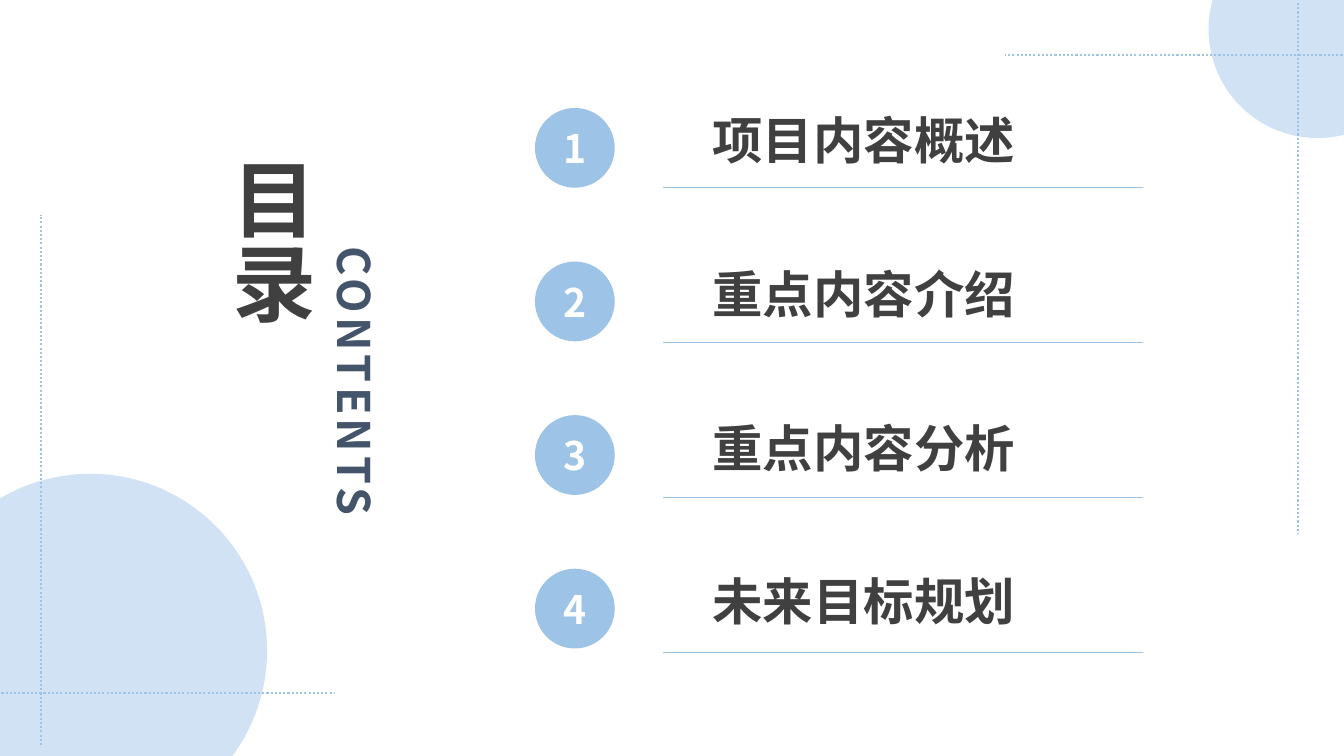
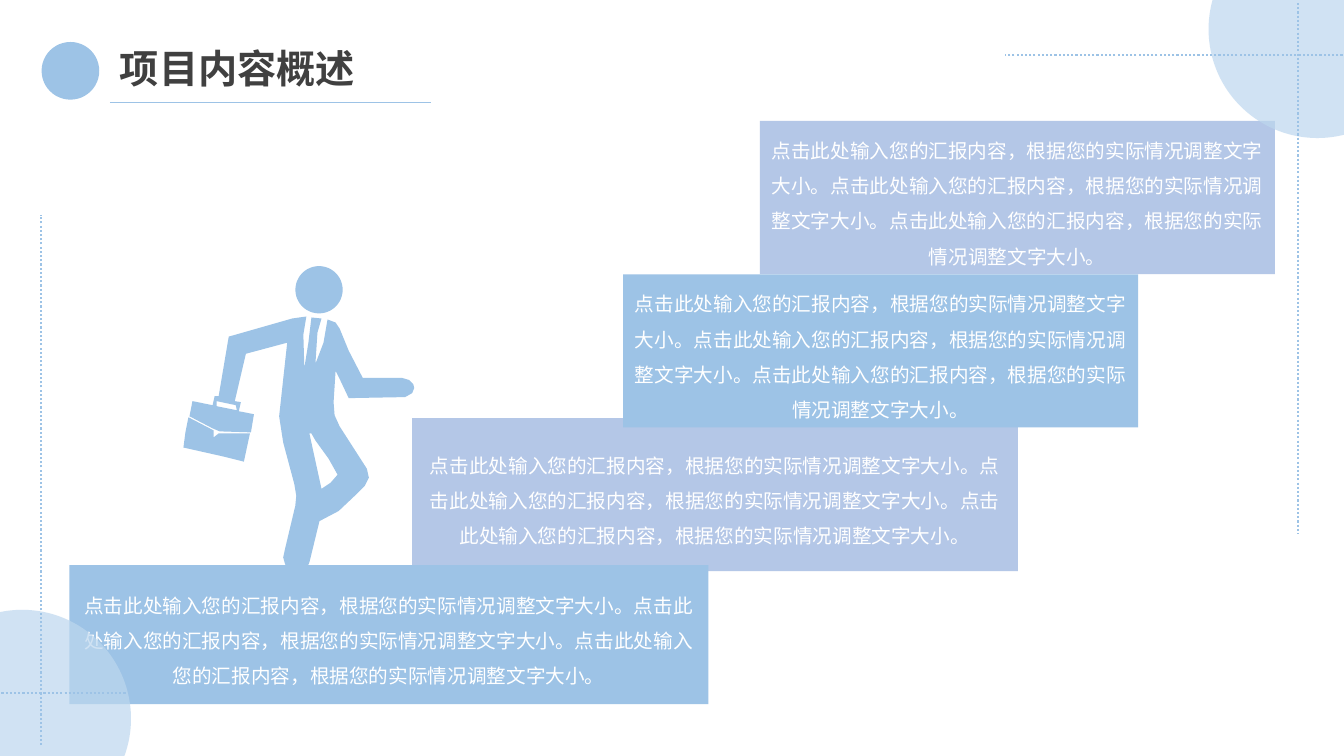
"""Build a contents slide and a project overview slide with a staircase of text."""
from lxml.etree import SubElement
from pptx import Presentation
from pptx.dml.color import RGBColor
from pptx.enum.dml import MSO_LINE_DASH_STYLE as Dash
from pptx.enum.shapes import MSO_CONNECTOR as Connector, MSO_SHAPE as Shape
from pptx.enum.text import MSO_ANCHOR as Anchor, MSO_AUTO_SIZE as AutoSize, PP_ALIGN as Align
from pptx.oxml.ns import qn
from pptx.util import Pt

FONT = "Noto Sans CJK SC"
COLORS = {
    "blue": "9DC3E6",
    "pale": "BDD7EE",
    "lavender": "B4C7E7",
    "ink": "404040",
    "slate": "44546A",
    "white": "FFFFFF",
}
TOPICS = ["项目内容概述", "重点内容介绍", "重点内容分析", "未来目标规划"]
STEP_TEXT = "点击此处输入您的汇报内容，根据您的实际情况调整文字大小。" * 3

BADGE_LEFT, BADGE_TOP, BADGE_SIZE, BADGE_PITCH = 382.1, 77.1, 57, 109.7
UNDERLINE_LEFT, UNDERLINE_RIGHT, UNDERLINE_TOP, UNDERLINE_PITCH = 473.8, 816.5, 133.9, 110.6
TOPIC_LINE_HEIGHT = 43
THIN, DOTTED = 0.5, 1.5

CORNER_SIZE, CORNER_LEFT, CORNER_BOTTOM = 155.5, -61.9, 591.1
CROSS_LINES = [(962, 39.6, 717.8, 39.6), (927.4, 2.2, 927.4, 380.9)]
TURN_X, TURN_Y = 957, 534.4

FIGURE_UNIT = 0.72
BODY = [
    (290, 316), (304, 314), (301, 332), (302, 365), (306, 340), (309, 315), (319, 316),
    (315, 330), (313, 361), (321, 340), (325, 317), (333, 320), (337, 326), (346, 348),
    (360, 375), (399, 375), (406, 377), (410, 381), (411, 385), (409, 390), (402, 394),
    (346, 395), (338, 378), (333, 368), (331, 399), (332, 412), (337, 423), (364, 465),
    (366, 474), (362, 482), (353, 491), (336, 507), (317, 517), (307, 558), (304, 565),
    (301, 567), (288, 564), (283, 560), (281, 553), (283, 544), (293, 502), (294, 492),
    (292, 480), (281, 439), (277, 413), (285, 340), (244, 351), (233, 398), (239, 399),
    (237, 408), (252, 411), (249, 429), (218, 428), (211, 425), (188, 413), (191, 398),
    (211, 402), (213, 393), (217, 393), (227, 334),
]
HANDLE_GAP = [(215, 403), (235, 407), (234, 402), (215, 398)]
LEG_GAP = [(307, 430), (319, 485), (328, 479), (335, 471), (326, 455), (313, 437), (309, 430)]
BRIEFCASE = [
    (187, 414), (212, 427), (212, 434), (217, 430), (248, 430), (242, 458), (222, 453),
    (182, 444), (184, 429),
]


def paint(shape, color):
    """Give a shape a flat fill without line or shadow."""
    shape.fill.solid()
    shape.fill.fore_color.rgb = RGBColor.from_string(COLORS[color])
    shape.line.fill.background()
    shape.shadow.inherit = False
    return shape


def write(shape, text, size, color, bold=True, align=Align.CENTER, anchor=Anchor.MIDDLE):
    """Fill a shape with text in one style and return its paragraphs."""
    frame = shape.text_frame
    frame.text = text
    frame.word_wrap, frame.auto_size, frame.vertical_anchor = True, AutoSize.NONE, anchor
    for paragraph in frame.paragraphs:
        paragraph.alignment = align
        font = paragraph.font
        font.size, font.bold, font.name = Pt(size), bold, FONT
        font.color.rgb = RGBColor.from_string(COLORS[color])
        defaults = paragraph._p.pPr.find(qn("a:defRPr"))
        SubElement(defaults, qn("a:ea")).set("typeface", FONT)
    return frame.paragraphs


prs = Presentation()
prs.slide_width, prs.slide_height = Pt(960), Pt(540)
contents = prs.slides.add_slide(prs.slide_layouts[1])
overview = prs.slides.add_slide(prs.slide_layouts[5])

contents_title, topic_list = contents.placeholders
overview_title = overview.shapes.title
headings = [
    (contents_title, "目录", 60, 146.9, 108.7, 82.1, 167),
    (topic_list, "\n".join(TOPICS), 36, 501.8, 74.2, 286.6, 382),
    (overview_title, TOPICS[0], 28, 78.5, 28.1, 229, 41),
]
for heading, text, size, left, top, width, height in headings:
    heading.left, heading.top = Pt(left), Pt(top)
    heading.width, heading.height = Pt(width), Pt(height)
    write(heading, text, size, "ink", align=Align.LEFT, anchor=Anchor.TOP)

contents_title.text_frame.paragraphs[0].line_spacing = 0.9
contents_title.text_frame.paragraphs[0].space_before = Pt(10)

subtitle = contents.shapes.add_textbox(Pt(225.4), Pt(169), Pt(56.9), Pt(220.3))
subtitle_line = write(subtitle, "CONTENTS", 32, "slate")[0]
subtitle_line.runs[0]._r.get_or_add_rPr().set("spc", "300")
subtitle.text_frame.word_wrap = False

for vertical in (contents_title, subtitle):
    vertical.text_frame._txBody.bodyPr.set("vert", "eaVert")

rules = [(overview, THIN, 78.5, 73.4, 307.6, 73.4)]

for index, topic in enumerate(topic_list.text_frame.paragraphs):
    topic.space_before = Pt(BADGE_PITCH - TOPIC_LINE_HEIGHT if index else 0)
    layout = topic._p.pPr
    layout.set("marL", "0")
    layout.set("indent", "0")
    layout.insert_element_before(layout.makeelement(qn("a:buNone")), "a:defRPr")

    badge = contents.shapes.add_shape(
        Shape.OVAL, Pt(BADGE_LEFT), Pt(BADGE_TOP + BADGE_PITCH * index),
        Pt(BADGE_SIZE), Pt(BADGE_SIZE))
    write(paint(badge, "blue"), str(index + 1), 28, "white")

    underline_y = UNDERLINE_TOP + UNDERLINE_PITCH * index
    rules.append((contents, THIN, UNDERLINE_LEFT, underline_y, UNDERLINE_RIGHT, underline_y))

title_dot = overview.shapes.add_shape(Shape.OVAL, Pt(29.7), Pt(30), Pt(41.2), Pt(41.2))
paint(title_dot, "blue")

walker = overview.shapes.add_group_shape().shapes
for outer, *gaps in ([BODY, HANDLE_GAP, LEG_GAP], [BRIEFCASE]):
    outline = walker.build_freeform(*outer[0], scale=Pt(FIGURE_UNIT))
    outline.add_line_segments(outer[1:], close=True)
    for gap in gaps:
        outline.move_to(*gap[0])
        outline.add_line_segments(gap[1:], close=True)
    paint(outline.convert_to_shape(), "blue")
head = walker.add_shape(Shape.OVAL, Pt(211), Pt(190.1), Pt(33.8), Pt(33.8))
paint(head, "blue")

steps = [
    ("lavender", 294.3, 298.6, 432.7, 109.4),
    ("lavender", 542.7, 86.4, 367.9, 109.4),
    ("blue", 49.5, 403.7, 456.5, 99.2),
    ("blue", 445, 196, 367.9, 109.4),
]
for color, left, top, width, height in steps:
    step = overview.shapes.add_shape(Shape.RECTANGLE, Pt(left), Pt(top), Pt(width), Pt(height))
    step_lines = write(paint(step, color), STEP_TEXT, 14, "white", bold=False)
    step_lines[0].line_spacing = 1.5

for slide, lower_size in ((contents, 252.7), (overview, CORNER_SIZE)):
    corners = [
        (863.3, -56.9, CORNER_SIZE),
        (CORNER_LEFT, CORNER_BOTTOM - lower_size, lower_size),
    ]
    for left, top, size in corners:
        corner = slide.shapes.add_shape(Shape.OVAL, Pt(left), Pt(top), Pt(size), Pt(size))
        tint = next(paint(corner, "pale")._element.spPr.iter(qn("a:srgbClr")))
        SubElement(tint, qn("a:alpha")).set("val", "70000")
    for x1, y1, x2, y2 in CROSS_LINES:
        rules.append((slide, DOTTED, x1, y1, x2, y2))
        rules.append((slide, DOTTED, TURN_X - x1, TURN_Y - y1, TURN_X - x2, TURN_Y - y2))

for slide, weight, x1, y1, x2, y2 in rules:
    rule = slide.shapes.add_connector(Connector.STRAIGHT, Pt(x1), Pt(y1), Pt(x2), Pt(y2))
    rule.line.color.rgb = RGBColor.from_string(COLORS["blue"])
    rule.line.width = Pt(weight)
    if weight == DOTTED:
        rule.line.dash_style = Dash.ROUND_DOT
    SubElement(rule._element.spPr, qn("a:effectLst"))

prs.save("out.pptx")
